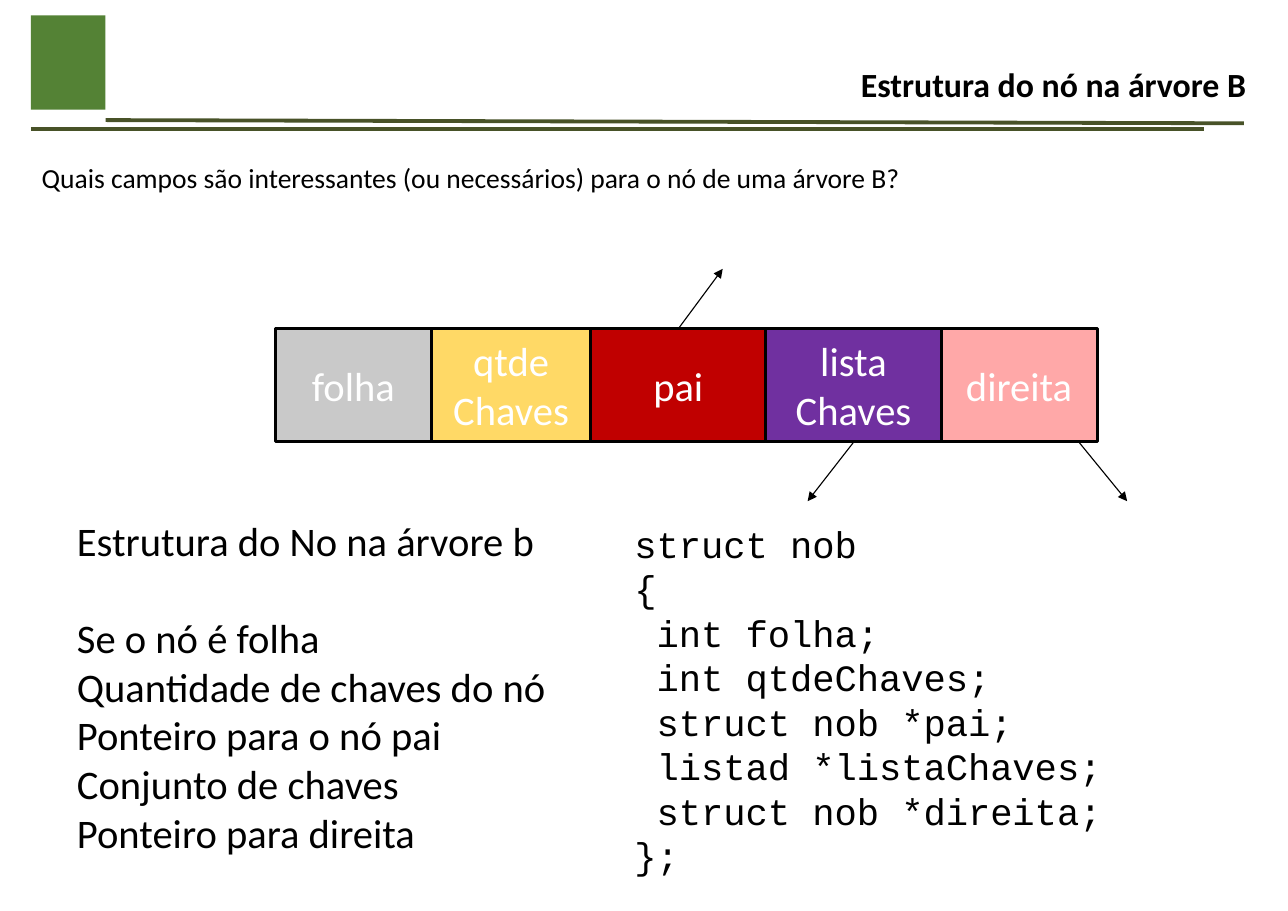
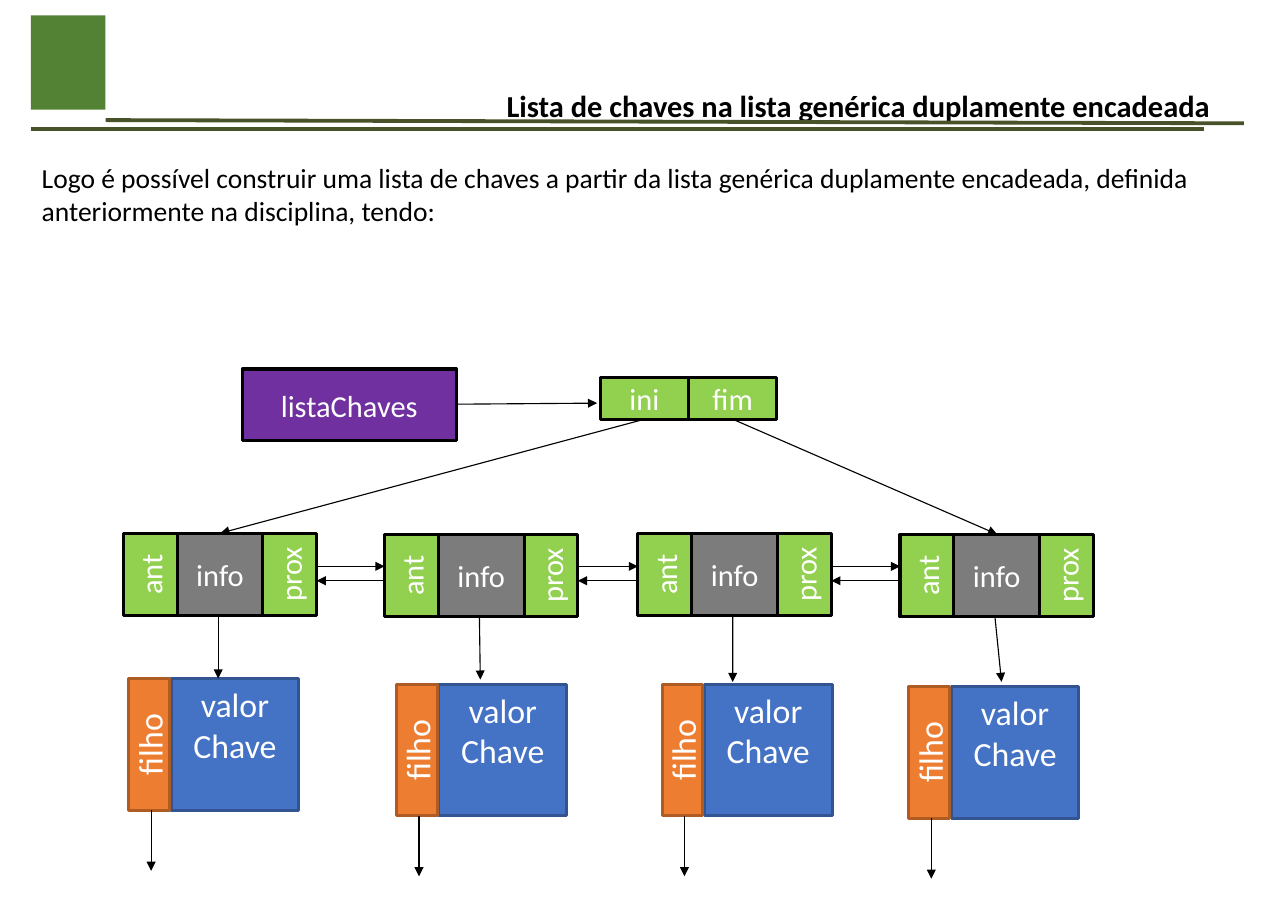
from itertools import pairwise

from lxml.etree import SubElement
from pptx import Presentation
from pptx.dml.color import RGBColor
from pptx.enum.shapes import MSO_CONNECTOR, MSO_SHAPE
from pptx.enum.text import MSO_ANCHOR, MSO_AUTO_SIZE, PP_ALIGN
from pptx.oxml.ns import qn
from pptx.util import Pt

BLACK = "000000"
WHITE = "FFFFFF"
PURPLE = "7030A0"
LINK_GREEN = "92D050"
INFO_GRAY = "7C7C7C"
BAND_GREEN = "548235"
RULE_OLIVE = "485228"
BLUE = "4472C4"
BLUE_EDGE = "325491"
ORANGE = "ED7D31"
ORANGE_EDGE = "AF5C24"

BODY_FONT = "Calibri"
CODE_FONT = "Courier New"

NODES = [(80.6, 348.5), (251.3, 349.2), (416.9, 348.5), (588.2, 349.2)]
RECORDS = [(84.2, 443.5), (259.2, 447.1), (432.7, 447.1), (594, 448.6)]
INFO_TARGETS = [(142.6, 443.5), (313.9, 444.2), (478.8, 445.7), (654.5, 445.7)]
NODE_WIDTH = 126.4
NODE_HEIGHT = 54
SIDE_WIDTH = 35.2


def color(value):
    return RGBColor.from_string(value)


def write(frame, text, size, ink, align=PP_ALIGN.LEFT, font=BODY_FONT, bold=False, spacing=None):
    frame.text = text
    frame.word_wrap = True
    frame.auto_size = MSO_AUTO_SIZE.NONE
    for para in frame.paragraphs:
        para.alignment = align
        if spacing:
            para.line_spacing = Pt(spacing)
        for span in para.runs:
            span.font.name = font
            span.font.size = Pt(size)
            span.font.bold = bold
            span.font.color.rgb = color(ink)


def add_text(page, left, top, width, height, text, size, **style):
    box = page.shapes.add_textbox(Pt(left), Pt(top), Pt(width), Pt(height))
    write(box.text_frame, text, size, BLACK, **style)
    return box


def add_box(page, left, top, width, height, fill, edge=BLACK):
    box = page.shapes.add_shape(MSO_SHAPE.RECTANGLE, Pt(left), Pt(top), Pt(width), Pt(height))
    box.shadow.inherit = False
    box.fill.solid()
    box.fill.fore_color.rgb = color(fill)
    if edge:
        box.line.color.rgb = color(edge)
        box.line.width = Pt(2)
    else:
        box.line.fill.background()
    return box


def add_cell(page, left, top, width, height, text, size, fill,
             edge=BLACK, vertical=False, anchor=MSO_ANCHOR.MIDDLE):
    cell = add_box(page, left, top, width, height, fill, edge)
    frame = cell.text_frame
    write(frame, text, size, WHITE, align=PP_ALIGN.CENTER)
    frame.vertical_anchor = anchor
    if vertical:
        frame._txBody.bodyPr.set("vert", "vert270")
    return cell


def add_line(page, start, end, ink, width):
    line = page.shapes.add_connector(MSO_CONNECTOR.STRAIGHT, *[Pt(value) for value in (*start, *end)])
    line.line.color.rgb = color(ink)
    line.line.width = Pt(width)
    SubElement(line._element.spPr, qn("a:effectLst"))
    return line


def add_arrow(page, start, end):
    arrow = add_line(page, start, end, BLACK, 0.75)
    SubElement(arrow._element.spPr.find(qn("a:ln")), qn("a:tailEnd"), type="triangle")


def set_opacity(box, percent):
    fill = box._element.spPr.find(qn("a:solidFill"))
    SubElement(fill.find(qn("a:srgbClr")), qn("a:alpha"), val=str(percent * 1000))


def add_page(deck, title, left, top, width, height, size, intro):
    page = deck.slides.add_slide(deck.slide_layouts[5])
    add_box(page, 20.2, 10.1, 48.6, 61.6, BAND_GREEN, None)
    add_line(page, (69.1, 78.5), (812.9, 80.6), RULE_OLIVE, 2.5)
    add_line(page, (20.2, 84.2), (787, 84.2), RULE_OLIVE, 2.5)
    heading = page.shapes.title
    heading.left, heading.top = Pt(left), Pt(top)
    heading.width, heading.height = Pt(width), Pt(height)
    write(heading.text_frame, title, size, BLACK, align=PP_ALIGN.RIGHT, bold=True)
    heading.text_frame.vertical_anchor = MSO_ANCHOR.MIDDLE
    add_text(page, 20.2, 101.5, 801.4, 68, intro, 18)
    return page


def add_node(page, left, top):
    info_width = NODE_WIDTH - 2 * SIDE_WIDTH
    add_cell(page, left + SIDE_WIDTH, top, info_width, NODE_HEIGHT, "info", 19.9, INFO_GRAY)
    for offset, label in ((0, "ant"), (NODE_WIDTH - SIDE_WIDTH, "prox")):
        add_cell(page, left + offset, top, SIDE_WIDTH, NODE_HEIGHT, label, 19.9,
                 LINK_GREEN, vertical=True)


def add_record(page, left, top):
    height = 86.2
    add_cell(page, left + 27.6, top, 83.5, height, "valor\nChave", 22.1, BLUE, BLUE_EDGE,
             anchor=MSO_ANCHOR.TOP)
    add_cell(page, left, top, 26.6, height, "filho", 22.1, ORANGE, ORANGE_EDGE, vertical=True)
    add_arrow(page, (left + 14.6, top + height), (left + 14.6, top + 125.7))


def add_structure_page(deck):
    page = add_page(deck, "Estrutura do nó na árvore B", 435.6, 35.3, 385.9, 38.9, 22.1,
                    "Quais campos são interessantes (ou necessários) para o nó de uma árvore B?")
    fields = [
        ("folha", 102, "C9C9C9"),
        ("qtde\nChaves", 104, "FFD966"),
        ("pai", 114.5, "C00000"),
        ("lista\nChaves", 114.5, PURPLE),
        ("direita", 102, "FF0000"),
    ]
    left, top, height = 180, 214.6, 74.2
    for label, width, fill in fields:
        cell = add_cell(page, left, top, width, height, label, 26.5, fill)
        left += width
    set_opacity(cell, 34)
    bottom = top + height
    add_arrow(page, (443.5, top), (472.3, 175.7))
    add_arrow(page, (558, bottom), (527.8, 327.6))
    add_arrow(page, (704.9, bottom), (736.6, 327.6))

    summary = [
        "Estrutura do No na árvore b",
        "Se o nó é folha",
        "Quantidade de chaves do nó",
        "Ponteiro para o nó pai",
        "Conjunto de chaves",
        "Ponteiro para direita",
    ]
    box = add_text(page, 43.2, 333.4, 380.9, 240, "\n".join(summary), 26.5, spacing=31.8)
    box.text_frame.paragraphs[1].space_before = Pt(31.8)

    code = [
        "struct nob",
        "{",
        " int folha;",
        " int qtdeChaves;",
        " struct nob *pai;",
        " listad *listaChaves;",
        " struct nob *direita;",
        "};",
    ]
    add_text(page, 407.5, 337, 430, 242.6, "\n".join(code), 24.3, font=CODE_FONT, spacing=29.1)


def add_key_list_page(deck):
    page = add_page(deck, "Lista de chaves na lista genérica duplamente encadeada",
                    313.2, 53.3, 485.3, 31, 19.9,
                    "Logo é possível construir uma lista de chaves a partir da lista genérica "
                    "duplamente encadeada, definida anteriormente na disciplina, tendo:")
    add_cell(page, 158.4, 241.2, 139.7, 46.8, "listaChaves", 19.9, PURPLE)
    add_arrow(page, (298.1, 264.2), (390.2, 263.5))
    ends = [("ini", 421.2, (144, 348.5)), ("fim", 478.8, (651.6, 349.2))]
    for label, center, target in ends:
        add_cell(page, center - 28.6, 246.6, 57.2, 27.4, label, 19.9, LINK_GREEN)
        add_arrow(page, (center, 274), target)

    for node, record, target in zip(NODES, RECORDS, INFO_TARGETS):
        left, top = node
        add_node(page, left, top)
        add_record(page, *record)
        add_arrow(page, (left + 62, top + NODE_HEIGHT), target)
    for (left, _), (following, _) in pairwise(NODES):
        right = left + NODE_WIDTH
        add_arrow(page, (right, 370.2), (following, 370.2))
        add_arrow(page, (following, 379.6), (right, 379.6))


def main():
    deck = Presentation()
    deck.slide_width, deck.slide_height = Pt(841.68), Pt(595.44)
    add_structure_page(deck)
    add_key_list_page(deck)
    deck.save("out.pptx")


if __name__ == "__main__":
    main()
